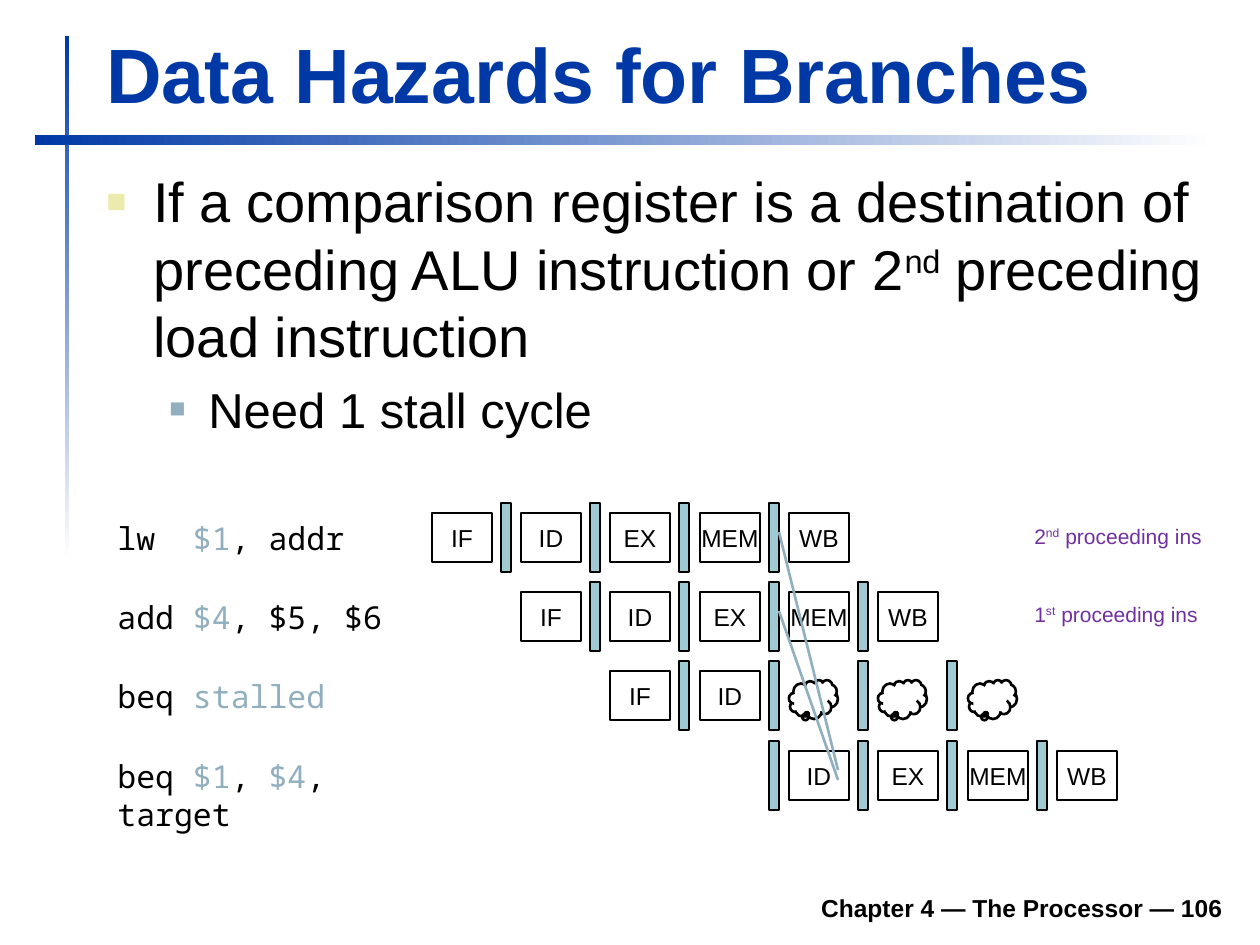
from lxml import etree
from pptx import Presentation
from pptx.dml.color import RGBColor
from pptx.enum.shapes import MSO_CONNECTOR, MSO_SHAPE
from pptx.enum.text import MSO_ANCHOR, PP_ALIGN
from pptx.oxml.ns import qn
from pptx.util import Emu, Pt

RECTANGLE = MSO_SHAPE.RECTANGLE
CLOUD = MSO_SHAPE.CLOUD_CALLOUT
STRAIGHT = MSO_CONNECTOR.STRAIGHT
TOP, MIDDLE, BOTTOM = MSO_ANCHOR.TOP, MSO_ANCHOR.MIDDLE, MSO_ANCHOR.BOTTOM
LEFT, CENTER, RIGHT = PP_ALIGN.LEFT, PP_ALIGN.CENTER, PP_ALIGN.RIGHT

PIXELS_PER_INCH = 126
BLACK, WHITE, BLUE = "000000", "FFFFFF", "0039A6"
STEEL, TEAL, PURPLE, SAND = "91AFBF", "9FCAD3", "7030A0", "ECEAAC"
SANS, MONO = "Arial", "Noto Sans Mono"

# Each instruction: its code, {column: stage}, first register column, bubble columns
PIPELINE = [
    ([("lw  ", {}), ("$1", {"color": STEEL}), (", addr", {})],
     {0: "IF", 1: "ID", 2: "EX", 3: "MEM", 4: "WB"}, 0, []),
    ([("add ", {}), ("$4", {"color": STEEL}), (", $5, $6", {})],
     {1: "IF", 2: "ID", 3: "EX", 4: "MEM", 5: "WB"}, 1, []),
    ([("beq ", {}), ("stalled", {"color": STEEL})],
     {2: "IF", 3: "ID"}, 2, [4, 5, 6]),
    ([("beq ", {}), ("$1", {"color": STEEL}), (", ", {}),
      ("$4", {"color": STEEL}), (", target", {})],
     {4: "ID", 5: "EX", 6: "MEM", 7: "WB"}, 3, []),
]
REGISTERS_PER_ROW = 4


def px(value):
    return Emu(round(value * 914400 / PIXELS_PER_INCH))


def rgb(value):
    return RGBColor.from_string(value)


def column_left(column):
    return 432 + 268 * column // 3


def row_top(row):
    return 513 + 238 * row // 3


def write_text(paragraph, runs, size, color=BLACK, font=SANS, bold=False, align=LEFT):
    """Fill a paragraph with (text, overrides) runs."""
    paragraph.alignment = align
    for text, overrides in runs:
        run = paragraph.add_run()
        run.text = text
        run.font.size = Pt(size)
        run.font.name = font
        run.font.bold = bold
        run.font.color.rgb = rgb(overrides.get("color", color))
        if overrides.get("superscript"):
            run.font._element.set("baseline", "30000")


def add_text_box(slide, left, top, width, height, wrap=True, anchor=TOP):
    frame = slide.shapes.add_textbox(px(left), px(top), px(width), px(height)).text_frame
    frame.word_wrap = wrap
    frame.vertical_anchor = anchor
    return frame


def add_bullet(paragraph, level, margin, indent, color, percent):
    paragraph.level = level
    properties = paragraph._p.get_or_add_pPr()
    properties.set("marL", str(px(margin)))
    properties.set("indent", str(px(-indent)))
    bullet_color = etree.SubElement(properties, qn("a:buClr"))
    etree.SubElement(bullet_color, qn("a:srgbClr"), val=color)
    etree.SubElement(properties, qn("a:buSzPct"), val=str(percent * 1000))
    etree.SubElement(properties, qn("a:buFont"), typeface=SANS)
    etree.SubElement(properties, qn("a:buChar"), char="■")


def add_box(slide, kind, left, top, width, height, fill=None, line=None):
    shape = slide.shapes.add_shape(kind, px(left), px(top), px(width), px(height))
    shape.shadow.inherit = False
    if fill:
        shape.fill.solid()
        shape.fill.fore_color.rgb = rgb(fill)
    else:
        shape.fill.background()
    if line:
        shape.line.color.rgb = rgb(BLACK)
        shape.line.width = Pt(line)
    else:
        shape.line.fill.background()
    return shape


def add_fading_bar(slide, left, top, width, height, angle):
    bar = add_box(slide, RECTANGLE, left, top, width, height)
    bar.fill.gradient()
    bar.fill.gradient_angle = angle
    for stop, color in zip(bar.fill.gradient_stops, (BLUE, WHITE)):
        stop.color.rgb = rgb(color)


def add_stage(slide, column, row, name):
    shape = add_box(slide, RECTANGLE, column_left(column), row_top(row), 60, 49, line=1.5)
    frame = shape.text_frame
    frame.word_wrap = False
    frame.vertical_anchor = MIDDLE
    write_text(frame.paragraphs[0], [(name, {})], 14, align=CENTER)


def add_bubble(slide, column, row):
    bubble = add_box(slide, CLOUD, column_left(column), row_top(row) + 9, 49, 39, line=1.5)
    bubble.adjustments[0] = -0.13
    bubble.adjustments[1] = 0.36


def add_forwarding_line(slide, start, end):
    line = slide.shapes.add_connector(STRAIGHT, *map(px, start + end))
    line.line.color.rgb = rgb(STEEL)
    line.line.width = Pt(1.5)
    etree.SubElement(line._element.spPr, qn("a:effectLst"))


def add_instruction(slide, row, code, stages, first_register, bubbles):
    frame = add_text_box(slide, 105, row_top(row), 300, 50, wrap=False)
    write_text(frame.paragraphs[0], code, 18, font=MONO)
    for column, name in stages.items():
        add_stage(slide, column, row, name)
    for column in range(first_register, first_register + REGISTERS_PER_ROW):
        add_box(slide, RECTANGLE, column_left(column) + 69, row_top(row) - 10,
                10, 69, fill=TEAL, line=0.75)
    for column in bubbles:
        add_bubble(slide, column, row)


def add_body(slide):
    frame = add_text_box(slide, 94, 155, 1141, 328)
    frame.margin_top = px(12)
    point = frame.paragraphs[0]
    add_bullet(point, 0, 47, 47, SAND, 60)
    write_text(point, [
        ("If a comparison register is a destination of preceding ALU instruction or 2", {}),
        ("nd", {"superscript": True}),
        (" preceding load instruction", {})], 32)
    detail = frame.add_paragraph()
    add_bullet(detail, 1, 102, 39, STEEL, 55)
    detail.space_before = Pt(6)
    write_text(detail, [("Need 1 stall cycle", {})], 28)


def main():
    presentation = Presentation()
    presentation.slide_width, presentation.slide_height = px(1260), px(945)
    slide = presentation.slides.add_slide(presentation.slide_layouts[6])

    # Frame, title and footer
    add_fading_bar(slide, 65, 36, 4, 525, 270)
    add_fading_bar(slide, 35, 135, 1180, 10, 0)
    footer = add_text_box(slide, 233, 880, 1002, 49, anchor=BOTTOM)
    write_text(footer.paragraphs[0], [("Chapter 4 — The Processor — 106", {})], 14,
               bold=True, align=RIGHT)
    title = add_text_box(slide, 94, 20, 1138, 105, anchor=BOTTOM)
    write_text(title.paragraphs[0], [("Data Hazards for Branches", {})], 44, BLUE, bold=True)

    add_body(slide)

    # Pipeline diagram
    for row, instruction in enumerate(PIPELINE):
        add_instruction(slide, row, *instruction)
    add_forwarding_line(slide, (779, 532), (838, 770))
    add_forwarding_line(slide, (779, 611), (838, 780))

    # Notes on the preceding instructions
    for top, number, suffix in ((517, "2", "nd"), (595, "1", "st")):
        note = add_text_box(slide, 1022, top, 213, 38)
        write_text(note.paragraphs[0], [
            (number, {}), (suffix, {"superscript": True}), (" proceeding ins", {})],
            12, PURPLE)

    presentation.save("out.pptx")


if __name__ == "__main__":
    main()
